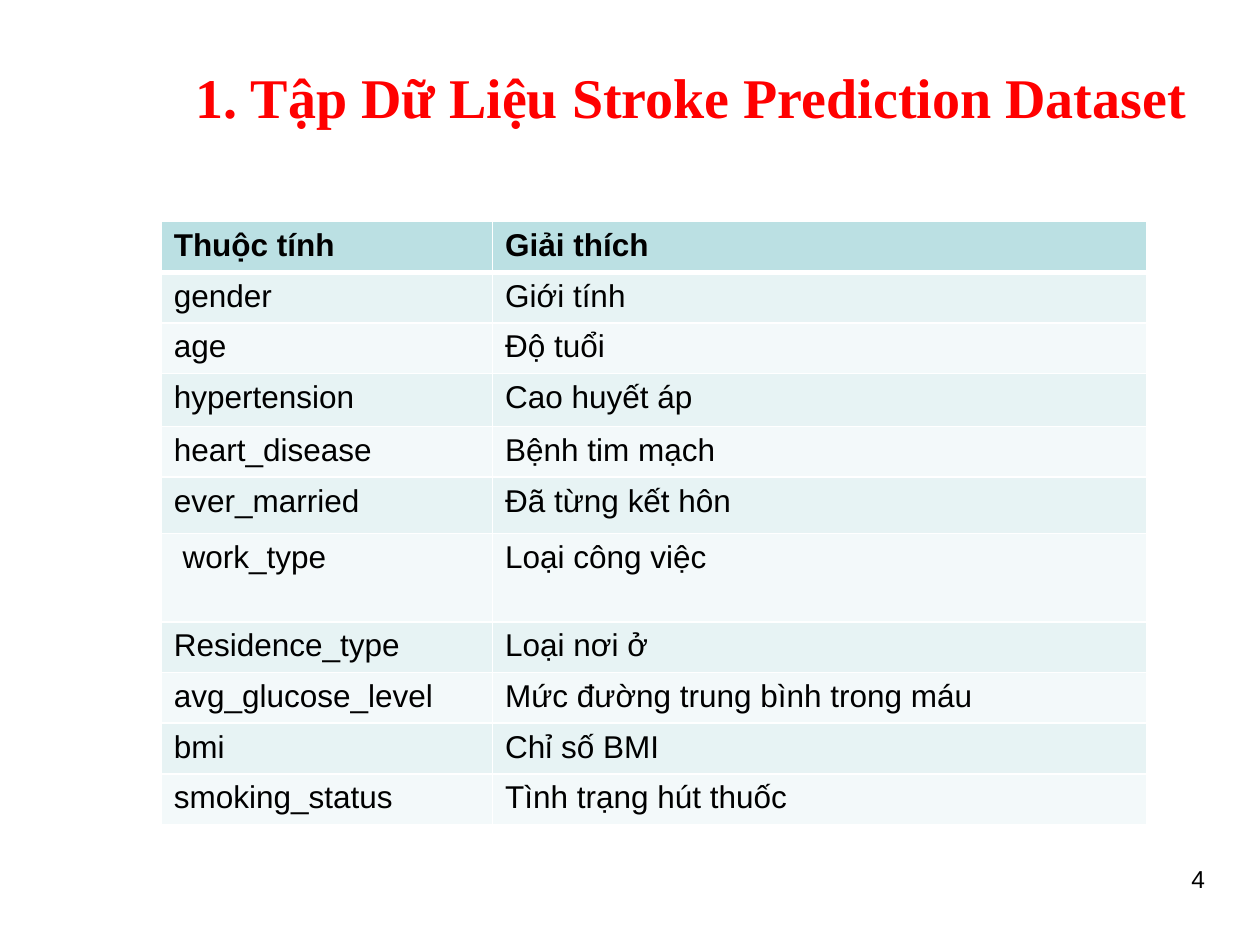
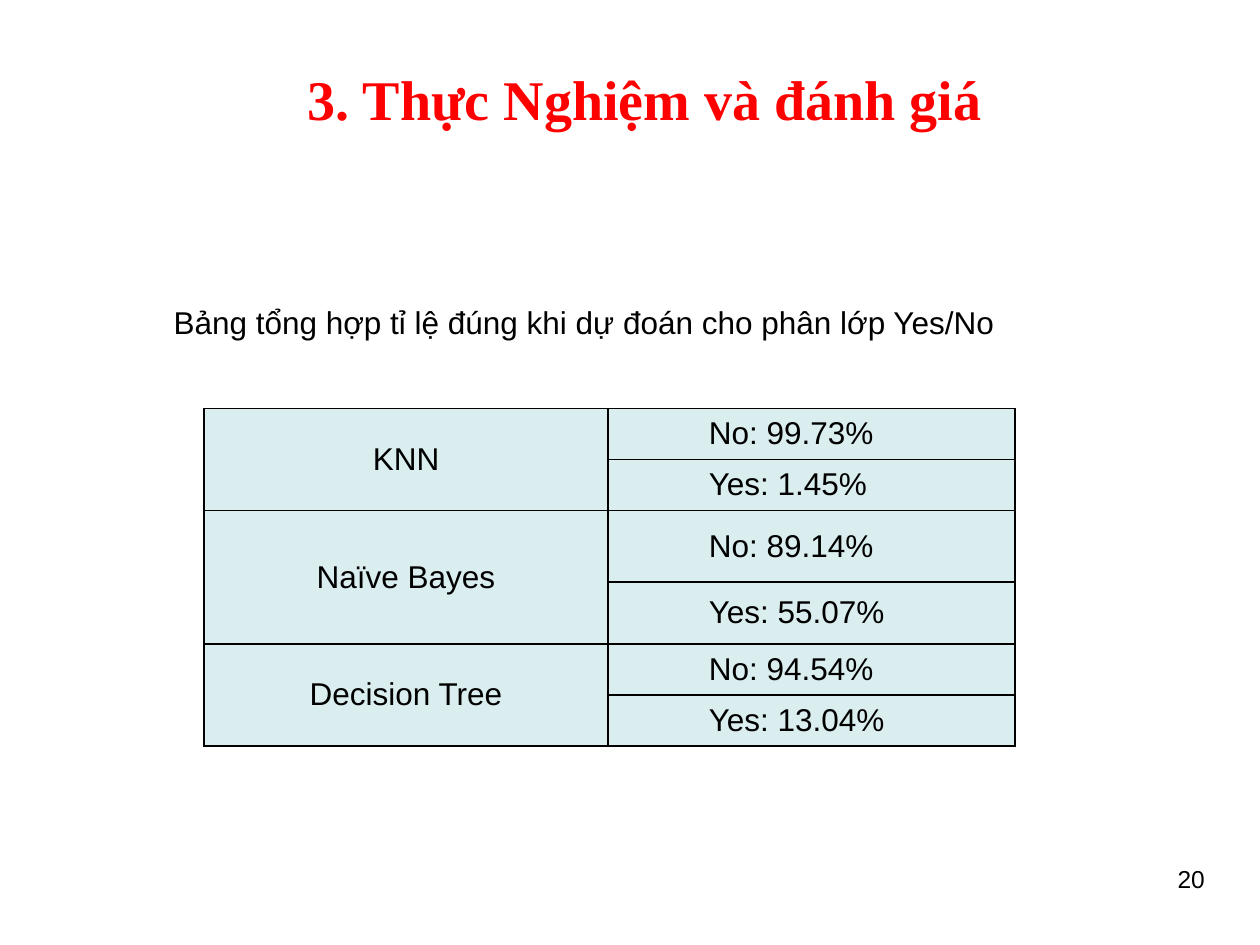
from dataclasses import dataclass

from lxml.etree import SubElement
from pptx import Presentation
from pptx.dml.color import RGBColor
from pptx.enum.text import MSO_ANCHOR as Anchor, MSO_AUTO_SIZE as AutoSize, PP_ALIGN as Align
from pptx.oxml.ns import qn
from pptx.util import Cm, Pt

ATTRIBUTES = {
    "title": "1. Tập Dữ Liệu Stroke Prediction Dataset",
    "title_box": (3.68, 1.14, 20.52, 1.63),
    "number": "4",
    "header": ("Thuộc tính", "Giải thích"),
    "rows": [
        ("gender", "Giới tính", 1.02),
        ("age", "Độ tuổi", 1.02),
        ("hypertension", "Cao huyết áp", 1.07),
        ("heart_disease", "Bệnh tim mạch", 1.02),
        ("ever_married", "Đã từng kết hôn", 1.14),
        (" work_type", "Loại công việc", 1.78),
        ("Residence_type", "Loại nơi ở", 1.02),
        ("avg_glucose_level", "Mức đường trung bình trong máu", 1.02),
        ("bmi", "Chỉ số BMI", 1.02),
        ("smoking_status", "Tình trạng hút thuốc", 1.02),
    ],
}

RESULTS = {
    "title": "3. Thực Nghiệm và đánh giá",
    "title_box": (5.89, 1.17, 14.22, 1.63),
    "number": "20",
    "caption": "Bảng tổng hợp tỉ lệ đúng khi dự đoán cho phân lớp Yes/No",
    "models": [
        ("KNN", [("No: 99.73%", 1.03), ("Yes: 1.45%", 1.03)]),
        ("Naïve Bayes", [("No: 89.14%", 1.44), ("Yes: 55.07%", 1.25)]),
        ("Decision Tree", [("No: 94.54%", 1.03), ("Yes: 13.04%", 1.03)]),
    ],
}


@dataclass(frozen=True)
class Theme:
    title_font: str = "Times New Roman"
    body_font: str = "Arial"
    title_size: int = 32
    body_size: int = 18
    number_size: int = 14
    red: str = "FF0000"
    black: str = "000000"
    white: str = "FFFFFF"
    header: str = "BBE0E3"
    bands: tuple = ("E7F3F4", "F3F9FA")
    result: str = "DAEDEF"


THEME = Theme()
NUMBER_BOX = (18.62, 17.3, 5.92, 1.55)
CAPTION_BOX = (3.25, 5.99, 19.86, 1.02)


def write(frame, text, font=THEME.body_font, size=THEME.body_size, color=THEME.black,
          bold=False, align=Align.LEFT):
    paragraph = frame.paragraphs[0]
    paragraph.alignment = align
    run = paragraph.add_run()
    run.text = text
    run.font.name, run.font.size, run.font.bold = font, Pt(size), bold
    run.font.color.rgb = RGBColor.from_string(color)


def add_text(slide, box, text, **style):
    frame = slide.shapes.add_textbox(*map(Cm, box)).text_frame
    frame.word_wrap = True
    write(frame, text, **style)


def add_slide(deck, content):
    slide = deck.slides.add_slide(deck.slide_layouts[5])
    title = slide.shapes.title
    title.left, title.top, title.width, title.height = map(Cm, content["title_box"])
    frame = title.text_frame
    frame.auto_size, frame.word_wrap = AutoSize.NONE, False
    frame.vertical_anchor = Anchor.TOP
    write(frame, content["title"], font=THEME.title_font, size=THEME.title_size,
          color=THEME.red, bold=True, align=Align.CENTER)
    add_text(slide, NUMBER_BOX, content["number"], size=THEME.number_size, align=Align.RIGHT)
    return slide


def add_grid(slide, left, top, widths, heights):
    grid = slide.shapes.add_table(len(heights), len(widths), Cm(left), Cm(top),
                                  Cm(sum(widths)), Cm(sum(heights))).table
    grid.first_row = grid.horz_banding = False
    for column, width in zip(grid.columns, widths):
        column.width = Cm(width)
    for row, height in zip(grid.rows, heights):
        row.height = Cm(height)
    return grid


def paint(cell, fill, line, top=1, bottom=1):
    cell.fill.solid()
    cell.fill.fore_color.rgb = RGBColor.from_string(fill)
    properties = cell._tc.get_or_add_tcPr()
    edges = (("a:lnL", 1), ("a:lnR", 1), ("a:lnT", top), ("a:lnB", bottom))
    for position, (tag, width) in enumerate(edges):
        edge = SubElement(properties, qn(tag), w=str(Pt(width)))
        SubElement(SubElement(edge, qn("a:solidFill")), qn("a:srgbClr"), val=line)
        properties.insert(position, edge)


def build_attributes(deck):
    slide = add_slide(deck, ATTRIBUTES)
    rows = [(*ATTRIBUTES["header"], 1.02), *ATTRIBUTES["rows"]]
    grid = add_grid(slide, 3.25, 4.47, (6.68, 13.18), [row[-1] for row in rows])
    for index, (*texts, _) in enumerate(rows):
        is_header = index == 0
        fill = THEME.header if is_header else THEME.bands[(index - 1) % 2]
        for column, text in enumerate(texts):
            cell = grid.cell(index, column)
            paint(cell, fill, THEME.white, top=3 if index == 1 else 1,
                  bottom=3 if is_header else 1)
            write(cell.text_frame, text, bold=is_header)


def build_results(deck):
    slide = add_slide(deck, RESULTS)
    models = RESULTS["models"]
    heights = [height for _, rates in models for _, height in rates]
    grid = add_grid(slide, 4.11, 8.23, (8.15, 8.2), heights)
    for cell in grid.iter_cells():
        paint(cell, THEME.result, THEME.black)
        cell.vertical_anchor = Anchor.MIDDLE
    first = 0
    for model, rates in models:
        last = first + len(rates) - 1
        model_cell = grid.cell(first, 0)
        model_cell.merge(grid.cell(last, 0))
        write(model_cell.text_frame, model, align=Align.CENTER)
        for index, (rate, _) in enumerate(rates, first):
            rate_cell = grid.cell(index, 1)
            rate_cell.margin_left = Cm(2.03)
            write(rate_cell.text_frame, rate)
        first = last + 1
    add_text(slide, CAPTION_BOX, RESULTS["caption"])


def main():
    deck = Presentation()
    deck.slide_width, deck.slide_height = Cm(25.4), Cm(19.05)
    build_attributes(deck)
    build_results(deck)
    deck.save("out.pptx")


if __name__ == "__main__":
    main()
